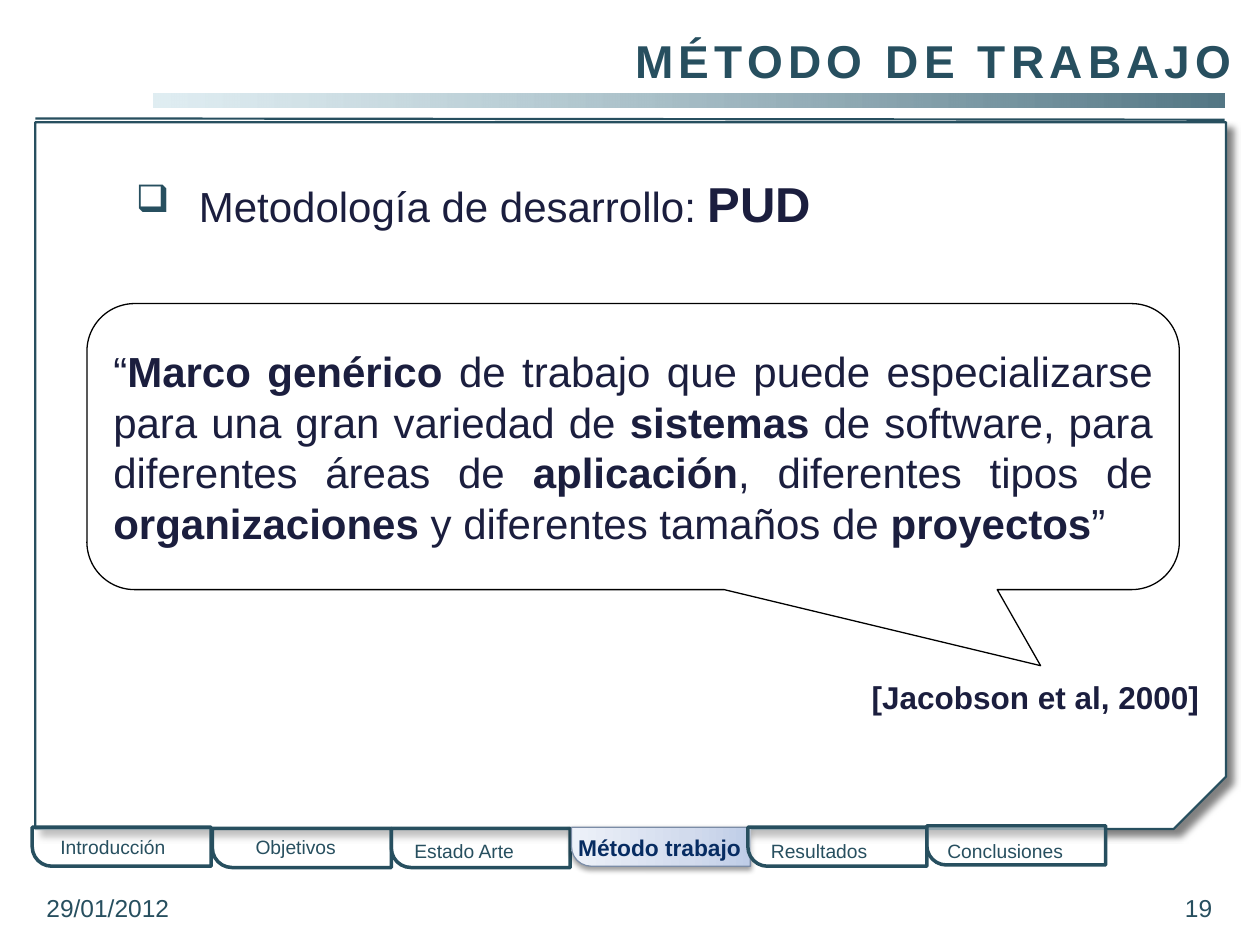
from pptx import Presentation
from pptx.dml.color import RGBColor
from pptx.enum.shapes import MSO_CONNECTOR, MSO_SHAPE as Shape
from pptx.enum.text import MSO_ANCHOR as Anchor, MSO_AUTO_SIZE as AutoSize, PP_ALIGN as Align
from pptx.oxml import parse_xml
from pptx.oxml.ns import nsdecls, qn
from pptx.util import Inches, Pt

COLORS = {
    "teal": "274F5F", "ink": "1B1E3E", "navy": "072C62", "white": "FFFFFF",
    "black": "000000", "pale": "D0E5EC", "slate": "547785", "edge": "7B8CA6",
    "blue": "BFCDE7", "light_blue": "D2DBED", "mist": "EDF1F9",
}
TABS = [
    ("Introducción", 0.81, 6.01, 0.38, 6.58, 1.51),
    ("Objetivos", 2.24, 6.02, 1.93, 6.58, 1.04),
    ("Estado Arte", 3.66, 6.02, 3.19, 6.61, 1.33),
    ("Método trabajo", 5.09, 6.01, 4.49, 6.57, 1.52),
    ("Resultados", 6.49, 6.01, 6.02, 6.61, 1.04),
    ("Conclusiones", 7.91, 6.00, 7.42, 6.61, 1.26),
]
ACTIVE_TAB = "Método trabajo"
QUOTE = [
    ("“", False), ("Marco genérico ", True),
    ("de trabajo que puede especializarse para una gran variedad de ", False),
    ("sistemas", True), (" de software, para diferentes áreas de ", False),
    ("aplicación", True), (", diferentes tipos de ", False),
    ("organizaciones", True), (" y diferentes tamaños de ", False),
    ("proyectos", True), ("”", False),
]


def rgb(name):
    """Return the named colour."""
    return RGBColor.from_string(COLORS[name])


def add_span(para, text, size=11, color="teal", bold=False):
    """Append a formatted run to a paragraph."""
    span = para.add_run()
    span.text = text
    span.font.name = "Arial"
    span.font.size = Pt(size)
    span.font.bold = bold
    span.font.color.rgb = rgb(color)
    return span


def add_text(slide, text, at, align=Align.LEFT, anchor=Anchor.TOP, **style):
    """Add a wrapped text box with one paragraph and return the paragraph."""
    box = slide.shapes.add_textbox(*map(Inches, at))
    frame = box.text_frame
    frame.word_wrap = True
    frame.vertical_anchor = anchor
    para = frame.paragraphs[0]
    para.alignment = align
    add_span(para, text, **style)
    return para


def add_panel(slide, kind, at, fill="white", line=None, width=1.0, adjust=()):
    """Add a preset shape with a plain fill and an optional outline."""
    shape = slide.shapes.add_shape(kind, *map(Inches, at))
    shape.shadow.inherit = False
    for index, value in enumerate(adjust):
        shape.adjustments[index] = value
    shape.fill.solid()
    shape.fill.fore_color.rgb = rgb(fill)
    if line:
        shape.line.color.rgb = rgb(line)
        shape.line.width = Pt(width)
    else:
        shape.line.fill.background()
    return shape


def color_xml(name, alpha=100):
    """Return the XML of a colour with an opacity in percent."""
    return f'<a:srgbClr val="{COLORS[name]}"><a:alpha val="{alpha * 1000}"/></a:srgbClr>'


def set_opacity(shape, alpha):
    """Make a solid fill partly transparent."""
    color = shape.fill.fore_color
    node = shape.element.spPr.find(qn("a:solidFill"))[0]
    node.append(parse_xml(f'<a:alpha {nsdecls("a")} val="{alpha * 1000}"/>'))
    return color


def set_gradient(shape, stops, angle):
    """Replace a solid fill by a linear gradient."""
    marks = "".join(
        f'<a:gs pos="{place * 1000}">{color_xml(name, alpha)}</a:gs>'
        for place, name, alpha in stops
    )
    properties = shape.element.spPr
    solid = properties.find(qn("a:solidFill"))
    properties.replace(solid, parse_xml(
        f'<a:gradFill {nsdecls("a")} rotWithShape="1"><a:gsLst>{marks}</a:gsLst>'
        f'<a:lin ang="{angle * 60000}" scaled="0"/></a:gradFill>'))


def set_shadow(shape, alpha, blur, distance, angle):
    """Give a shape a soft black outer shadow."""
    properties = shape.element.spPr
    effects = properties.find(qn("a:effectLst"))
    effects.append(parse_xml(
        f'<a:outerShdw {nsdecls("a")} blurRad="{Pt(blur)}" dist="{Pt(distance)}" '
        f'dir="{angle * 60000}" algn="tl" rotWithShape="0">'
        f'{color_xml("black", alpha)}</a:outerShdw>'))


def add_rule(slide, start, end):
    """Add a thin straight line."""
    rule = slide.shapes.add_connector(
        MSO_CONNECTOR.STRAIGHT, *map(Inches, start + end))
    rule.line.color.rgb = rgb("teal")
    rule.line.width = Pt(1.25)
    rule.element.spPr.append(parse_xml(f'<a:effectLst {nsdecls("a")}/>'))


def add_tab(slide, label, left, top, text_left, text_top, text_width):
    """Add one navigation tab, highlighted when it is the active one."""
    active = label == ACTIVE_TAB
    tab = add_panel(slide, Shape.ROUND_1_RECTANGLE, (left, top, 0.31, 1.42),
                    line="edge" if active else "teal",
                    width=0.75 if active else 2, adjust=(0.5,))
    tab.rotation = 270
    tab.element.spPr.xfrm.set("flipH", "1")
    if active:
        set_gradient(tab, [(0, "blue", 100), (35, "light_blue", 100), (100, "mist", 100)], 270)
        set_shadow(tab, 38, 3.1, 1.6, 90)
    else:
        set_opacity(tab, 50)
    style = {"size": 13, "color": "navy", "bold": True} if active else {}
    add_text(slide, label, (text_left, text_top, text_width, 0.29), **style)


def set_title(slide, text):
    """Place and format the title."""
    title = slide.shapes.title
    title.left, title.top, title.width, title.height = map(Inches, (1.22, 0.21, 8.66, 0.5))
    frame = title.text_frame
    frame.auto_size = AutoSize.NONE
    frame.vertical_anchor = Anchor.TOP
    para = frame.paragraphs[0]
    para.alignment = Align.RIGHT
    span = add_span(para, text, size=26.3, bold=True)
    span.font.element.set("spc", "300") if hasattr(span.font, "element") else \
        para.runs[0].font._element.set("spc", "300")


def add_frame(slide):
    """Add the title bar and the page frame."""
    bar = add_panel(slide, Shape.RECTANGLE, (1.22, 0.74, 8.5, 0.11))
    set_gradient(bar, [(0, "pale", 66), (100, "slate", 100)], 0)
    page = add_panel(slide, Shape.SNIP_1_RECTANGLE, (0.28, 0.97, 9.45, 5.61),
                     line="teal", width=1.25, adjust=(0.074,))
    page.element.spPr.xfrm.set("flipV", "1")
    set_shadow(page, 50, 4, 5, 45)
    add_rule(slide, (0.28, 0.94), (9.72, 0.95))


def add_quote(slide):
    """Add the speech bubble with the quotation."""
    bubble = add_panel(slide, Shape.ROUNDED_RECTANGULAR_CALLOUT, (0.69, 2.41, 8.67, 2.27),
                       line="black", width=0.75, adjust=(0.373, 0.766, 0.167))
    bubble.text_frame.word_wrap = True
    bubble.text_frame.vertical_anchor = Anchor.MIDDLE
    para = bubble.text_frame.paragraphs[0]
    para.alignment = Align.JUSTIFY
    for text, bold in QUOTE:
        add_span(para, text, size=24, color="ink", bold=bold)


def add_bullet(para, sign):
    """Give a paragraph a coloured bullet and a hanging indent."""
    properties = para._p.get_or_add_pPr()
    properties.set("marL", str(Inches(0.5)))
    properties.set("indent", str(-Inches(0.5)))
    for body in (f'buClr {nsdecls("a")}>{color_xml("teal")}</a:buClr>',
                 f'buSzPct {nsdecls("a")} val="90000"/>',
                 f'buChar {nsdecls("a")} char="{sign}"/>'):
        properties.append(parse_xml(f"<a:{body}"))


def main():
    """Build the slide and save the deck."""
    deck = Presentation()
    deck.slide_width, deck.slide_height = Inches(10), Inches(7.5)
    slide = deck.slides.add_slide(deck.slide_layouts[5])
    set_title(slide, "MÉTODO DE TRABAJO")
    add_frame(slide)
    for tab in TABS:
        add_tab(slide, *tab)
    add_text(slide, "29/01/2012", (0.27, 7.06, 2.33, 0.29), anchor=Anchor.MIDDLE, size=14)
    add_text(slide, "19", (7.39, 7.06, 2.33, 0.29), Align.RIGHT, Anchor.MIDDLE, size=14)
    add_quote(slide)
    add_text(slide, "[Jacobson et al, 2000]", (6.82, 5.33, 4.07, 0.4),
             size=18, color="ink", bold=True)
    topic = add_text(slide, "Metodología de desarrollo: ", (0.98, 1.33, 7.87, 0.57),
                     Align.JUSTIFY, size=24, color="ink")
    add_span(topic, "PUD", size=28, color="ink", bold=True)
    add_bullet(topic, "❑")
    deck.save("out.pptx")


if __name__ == "__main__":
    main()
